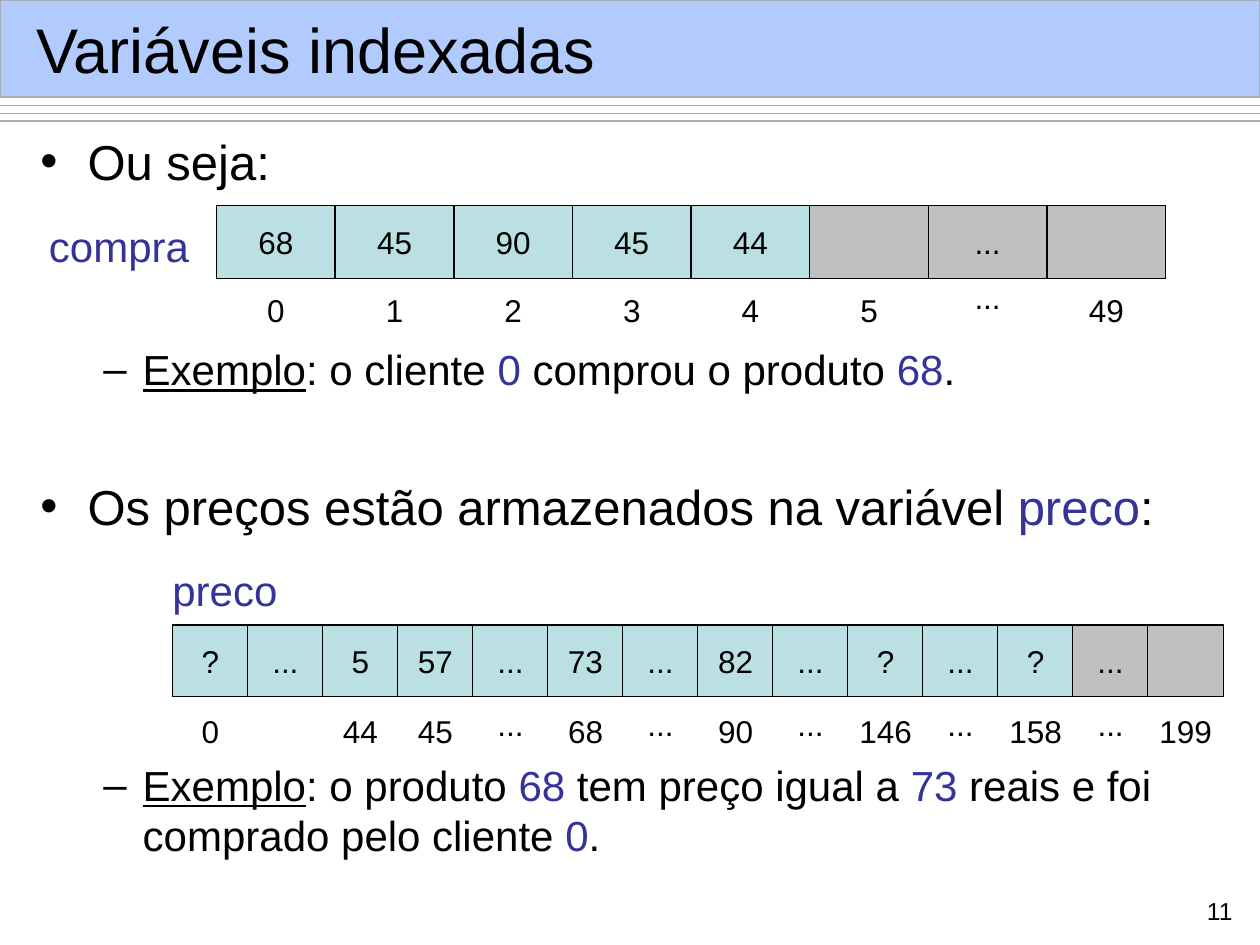
"""Builds the slide on indexed variables, with two arrays drawn as rows of cells."""
from dataclasses import dataclass

from lxml import etree
from pptx import Presentation
from pptx.dml.color import RGBColor
from pptx.enum import shapes as kinds, text as txt
from pptx.oxml.ns import qn
from pptx.util import Inches, Pt


@dataclass(frozen=True)
class Theme:
    font: str = "Arial"
    ink: str = "000000"
    accent: str = "333399"
    used: str = "BBE0E3"
    unused: str = "C0C0C0"
    band: str = "6699FF"
    rule: str = "A3AEB7"
    title: int = 36
    topic: int = 28
    example: int = 24
    cell: int = 18
    number: int = 14


THEME = Theme()
TITLE = "Variáveis indexadas"
PAGE = "11"
RULES = [0.84, 0.9, 0.96]

BODY = [
    dict(level=0, gap=7, pieces=[("Ou seja:", "")]),
    dict(level=1, gap=88, pieces=[
        ("Exemplo", "underline"), (": o cliente ", ""), ("0", "accent"),
        (" comprou o produto ", ""), ("68", "accent"), (".", "")]),
    dict(level=0, gap=47, pieces=[
        ("Os preços estão armazenados na variável ", ""),
        ("preco", "accent"), (":", "")]),
    dict(level=1, gap=128, pieces=[
        ("Exemplo", "underline"), (": o produto ", ""), ("68", "accent"),
        (" tem preço igual a ", ""), ("73", "accent"),
        (" reais e foi comprado pelo cliente ", ""), ("0", "accent"),
        (".", "")]),
]

COMPRA = dict(
    name="compra", name_at=(0.29, 1.7, 1.5), left=1.72, right=9.25, top=1.63,
    cell=(0.94, 0.58), index_top=2.26, dots_top=2.16, used=5,
    values=["68", "45", "90", "45", "44", "", "...", ""],
    indices=["0", "1", "2", "3", "4", "5", "...", "49"],
)
PRECO = dict(
    name="preco", name_at=(1.27, 4.43, 1.3), left=1.37, right=9.71, top=4.96,
    cell=(0.6, 0.57), index_top=5.6, dots_top=5.55, used=12,
    values=["?", "...", "5", "57", "...", "73", "...", "82", "...", "?",
            "...", "?", "...", ""],
    indices=["0", "", "44", "45", "...", "68", "...", "90", "...", "146",
             "...", "158", "...", "199"],
)


def rgb(colour):
    return RGBColor.from_string(colour)


def style(font, size, colour=THEME.ink):
    font.name, font.size = THEME.font, Pt(size)
    font.color.rgb = rgb(colour)


def place(part, left, top, width, height):
    part.left, part.top = Inches(left), Inches(top)
    part.width, part.height = Inches(width), Inches(height)


def add_box(canvas, left, top, width, height, fill, line):
    box = canvas.add_shape(kinds.MSO_SHAPE.RECTANGLE, Inches(left), Inches(top),
                           Inches(width), Inches(height))
    box.shadow.inherit = False
    box.fill.solid()
    box.fill.fore_color.rgb = rgb(fill)
    box.line.color.rgb = rgb(line)
    box.line.width = Pt(0.75)
    return box


def write(frame, words, size, colour=THEME.ink, align=txt.PP_ALIGN.LEFT):
    frame.word_wrap = False
    paragraph = frame.paragraphs[0]
    paragraph.text, paragraph.alignment = words, align
    style(paragraph.font, size, colour)


def add_label(canvas, words, left, top, width, height, size, **look):
    label = canvas.add_textbox(Inches(left), Inches(top), Inches(width), Inches(height))
    write(label.text_frame, words, size, **look)


def add_array(canvas, array):
    left, top, width = array["name_at"]
    add_label(canvas, array["name"], left, top, width, 0.5, THEME.example,
              colour=THEME.accent)
    cell_width, cell_height = array["cell"]
    step = (array["right"] - array["left"] - cell_width) / (len(array["values"]) - 1)
    for position, (value, index) in enumerate(zip(array["values"], array["indices"])):
        cell_left = array["left"] + position * step
        fill = THEME.used if position < array["used"] else THEME.unused
        cell = add_box(canvas, cell_left, array["top"], cell_width, cell_height,
                       fill, THEME.ink)
        if value:
            cell.text_frame.vertical_anchor = txt.MSO_ANCHOR.MIDDLE
            write(cell.text_frame, value, THEME.cell, align=txt.PP_ALIGN.CENTER)
        if index:
            dots = index == "..."
            index_width = 0.24 + (0.07 if dots else 0.14) * len(index)
            add_label(canvas, index, cell_left + (cell_width - index_width) / 2,
                      array["dots_top" if dots else "index_top"], index_width, 0.4,
                      THEME.cell, align=txt.PP_ALIGN.CENTER)


def add_header(slide):
    backdrop = []
    for height in RULES:
        rule = slide.shapes.add_connector(kinds.MSO_CONNECTOR.STRAIGHT, Inches(0),
                                          Inches(height), Inches(10), Inches(height))
        rule.line.color.rgb = rgb(THEME.rule)
        rule.line.width = Pt(0.75)
        etree.SubElement(rule.element.spPr, qn("a:effectLst"))
        backdrop.append(rule)
    band = add_box(slide.shapes, 0, 0, 10, 0.77, THEME.band, THEME.rule)
    tint = band.element.spPr.find(qn("a:solidFill"))[0]
    etree.SubElement(tint, qn("a:alpha"), val="50000")
    title = slide.shapes.title
    for part in backdrop + [band]:
        title.element.addprevious(part.element)
    place(title, 0.19, 0.09, 9.64, 0.59)
    title.text_frame.vertical_anchor = txt.MSO_ANCHOR.MIDDLE
    write(title.text_frame, TITLE, THEME.title)
    title.text_frame.word_wrap = True
    title.text_frame.auto_size = txt.MSO_AUTO_SIZE.NONE


def fill_body(body):
    place(body, 0.22, 0.99, 9.35, 6.24)
    frame = body.text_frame
    frame.auto_size = txt.MSO_AUTO_SIZE.NONE
    for number, item in enumerate(BODY):
        paragraph = frame.add_paragraph() if number else frame.paragraphs[0]
        paragraph.level, paragraph.space_before = item["level"], Pt(item["gap"])
        size = THEME.example if item["level"] else THEME.topic
        style(paragraph.font, size)
        for words, look in item["pieces"]:
            run = paragraph.add_run()
            run.text = words
            style(run.font, size, THEME.accent if look == "accent" else THEME.ink)
            if look == "underline":
                run.font.underline = True


def main():
    deck = Presentation()
    deck.slide_width, deck.slide_height = Inches(10), Inches(7.5)
    slide = deck.slides.add_slide(deck.slide_layouts[1])
    add_header(slide)
    fill_body(slide.placeholders[1])
    add_array(slide.shapes, COMPRA)
    add_array(slide.shapes.add_group_shape().shapes, PRECO)
    add_label(slide.shapes, PAGE, 9.4, 7.06, 0.48, 0.34, THEME.number,
              align=txt.PP_ALIGN.RIGHT)
    deck.save("out.pptx")


if __name__ == "__main__":
    main()
